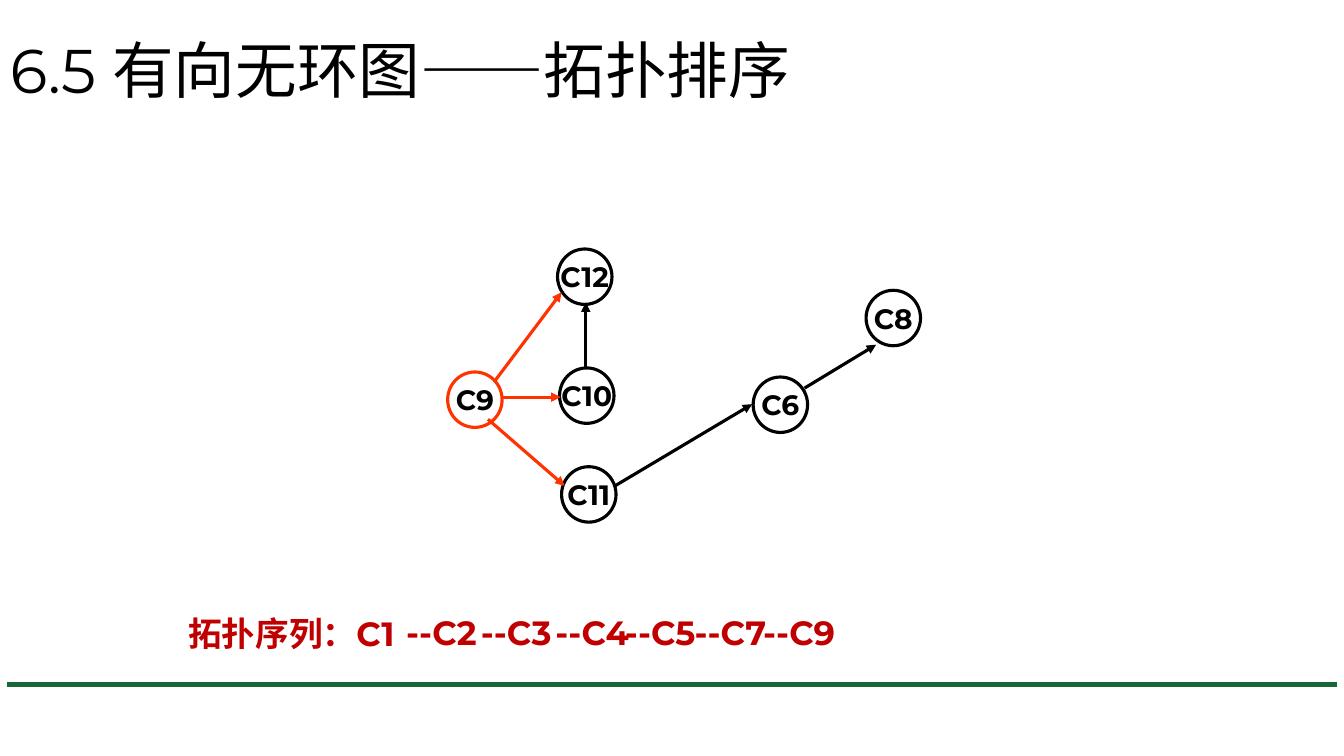
from lxml.etree import SubElement
from pptx import Presentation
from pptx.dml.color import RGBColor
from pptx.enum.shapes import MSO_CONNECTOR as CONNECTOR, MSO_SHAPE as SHAPE
from pptx.enum.text import MSO_ANCHOR as ANCHOR, PP_ALIGN as ALIGN
from pptx.oxml.ns import qn
from pptx.util import Inches, Pt

BLACK, ORANGE, RED, GREEN = "000000", "FF3300", "C00000", "166936"
NODE_WIDTH, NODE_HEIGHT = 0.54, 0.55


def color(hex_value):
    return RGBColor.from_string(hex_value)


def write(frame, text, size, hue=BLACK, bold=False, align=ALIGN.LEFT,
          anchor=ANCHOR.TOP, wrap=True, spacing=1.0):
    frame.word_wrap = wrap
    frame.vertical_anchor = anchor
    paragraph = frame.paragraphs[0]
    paragraph.alignment = align
    paragraph.line_spacing = spacing
    run = paragraph.add_run()
    run.text = text
    run.font.name = "Montserrat"
    run.font.size = Pt(size)
    run.font.bold = bold
    run.font.color.rgb = color(hue)


def add_text(slide, left, top, width, height, text, **style):
    box = slide.shapes.add_textbox(
        Inches(left), Inches(top), Inches(width), Inches(height))
    write(box.text_frame, text, **style)


def add_line(slide, start, end, hue, width, arrow=False):
    line = slide.shapes.add_connector(
        CONNECTOR.STRAIGHT, *(Inches(v) for v in (*start, *end)))
    line.line.color.rgb = color(hue)
    line.line.width = Pt(width)
    if arrow:
        SubElement(line.line._get_or_add_ln(), qn("a:tailEnd"), type="triangle")
    SubElement(line._element.spPr, qn("a:effectLst"))


def add_node(slide, left, top, label, hue):
    node = slide.shapes.add_shape(
        SHAPE.OVAL, Inches(left), Inches(top),
        Inches(NODE_WIDTH), Inches(NODE_HEIGHT))
    node.shadow.inherit = False
    node.fill.background()
    node.line.color.rgb = color(hue)
    node.line.width = Pt(2.25)
    write(node.text_frame, label, size=20, bold=True, align=ALIGN.CENTER,
          anchor=ANCHOR.MIDDLE, wrap=False)


def add_graph(slide, left, top):
    # Courses, placed from the graph's top left corner
    courses = [("C6", 3.03, 1.27, BLACK), ("C8", 4.15, 0.41, BLACK),
               ("C9", 0, 1.22, ORANGE), ("C10", 1.11, 1.18, BLACK),
               ("C11", 1.13, 2.16, BLACK), ("C12", 1.09, 0, BLACK)]
    for label, x, y, hue in courses:
        add_node(slide, left + x, top + y, label, hue)

    # Prerequisite arrows; those leaving C9 are highlighted
    arrows = [((0.46, 1.32), (1.13, 0.43), ORANGE),
              ((0.54, 1.47), (1.12, 1.47), ORANGE),
              ((1.37, 1.19), (1.37, 0.53), BLACK),
              ((0.40, 1.69), (1.16, 2.35), ORANGE),
              ((1.66, 2.35), (3.02, 1.54), BLACK),
              ((3.54, 1.38), (4.25, 0.95), BLACK)]
    for (x1, y1), (x2, y2), hue in arrows:
        add_line(slide, (left + x1, top + y1), (left + x2, top + y2),
                 hue, 2.25, arrow=True)


def add_sequence(slide, left, top):
    style = dict(size=24, hue=RED, bold=True, spacing=1.1)
    add_text(slide, left, top + 0.01, 2.41, 0.52, "拓扑序列：C1", **style)
    steps = [("C2", 2.16), ("C3", 2.9), ("C4", 3.64),
             ("C5", 4.33), ("C7", 5.02), ("C9", 5.7)]
    for course, x in steps:
        add_text(slide, left + x, top, 1.01, 0.52, f"--{course}", **style)


def main():
    deck = Presentation()
    deck.slide_width, deck.slide_height = Inches(13.33), Inches(7.5)
    slide = deck.slides.add_slide(deck.slide_layouts[6])
    # Footer rule and title
    add_line(slide, (0.07, 6.79), (13.26, 6.79), GREEN, 3.75)
    add_text(slide, 0, 0, 11.5, 1.45, "6.5 有向无环图——拓扑排序",
             size=44, anchor=ANCHOR.MIDDLE, spacing=0.9)
    # Remaining graph and the order found so far
    add_graph(slide, 4.44, 2.47)
    add_sequence(slide, 1.77, 5.98)
    deck.save("out.pptx")


if __name__ == "__main__":
    main()
